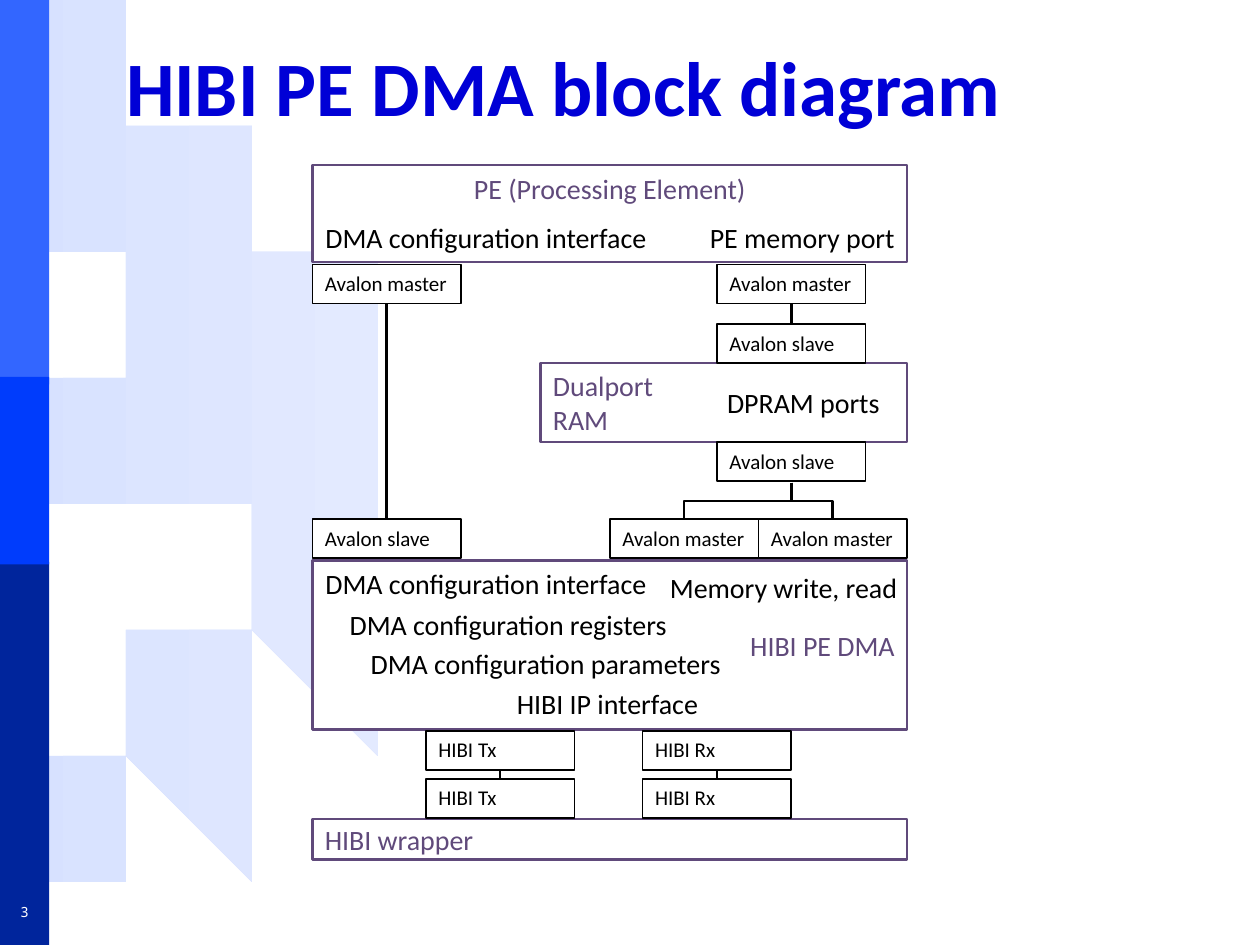
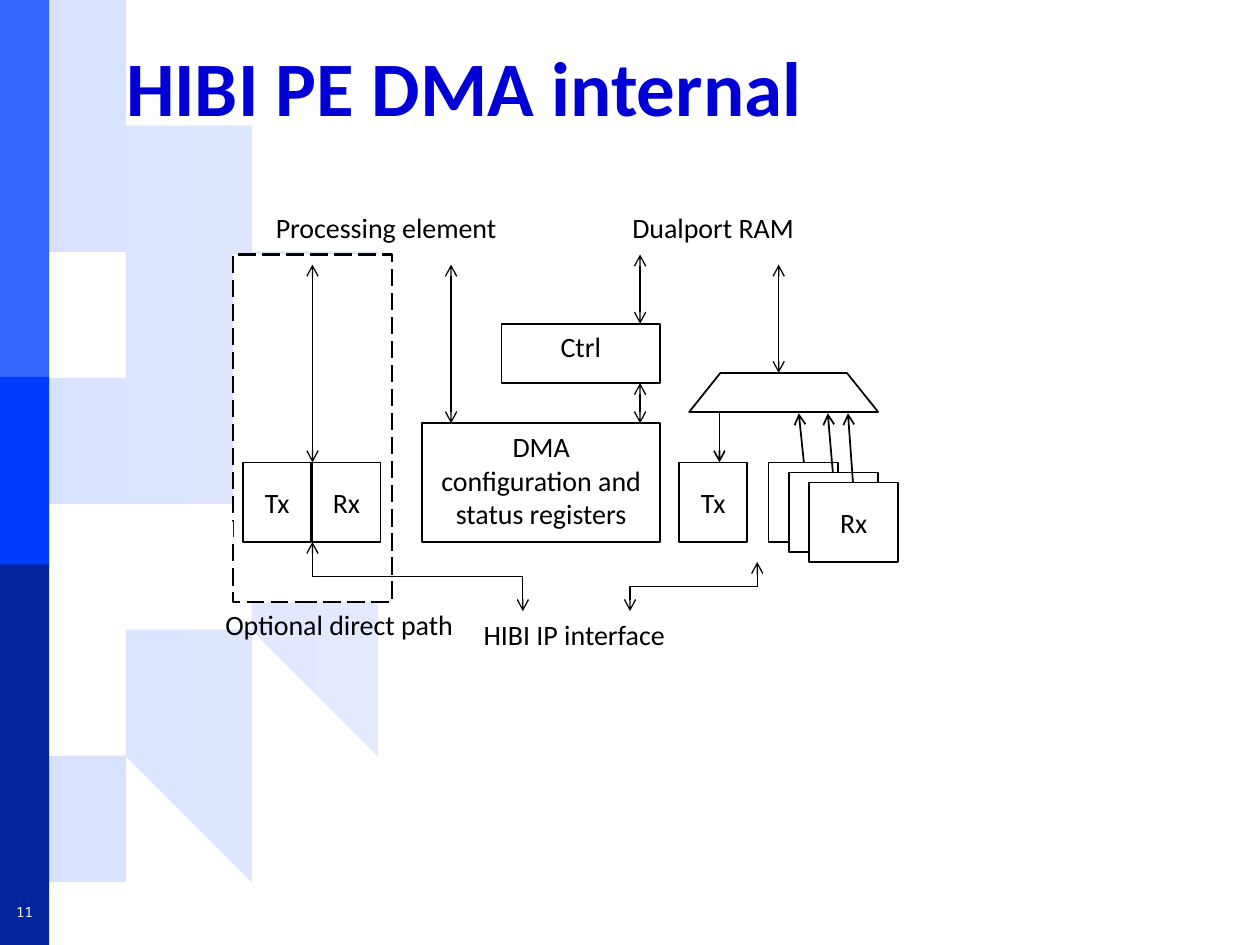
"""Build two slides on the HIBI PE DMA: its block diagram and its internals."""
from dataclasses import dataclass
from typing import Optional

from lxml.etree import SubElement
from pptx import Presentation
from pptx.dml.color import RGBColor
from pptx.enum.dml import MSO_LINE
from pptx.enum.shapes import MSO_CONNECTOR as CONN, MSO_SHAPE as SHAPE
from pptx.enum.text import MSO_ANCHOR as ANCHOR, MSO_AUTO_SIZE as FIT, PP_ALIGN as ALIGN
from pptx.oxml.ns import qn
from pptx.util import Inches, Pt

WHITE = RGBColor(0xFF, 0xFF, 0xFF)
BLACK = RGBColor(0x00, 0x00, 0x00)
PURPLE = RGBColor(0x60, 0x4A, 0x7B)
TITLE_BLUE = RGBColor(0x00, 0x00, 0xD6)
GEAR_COLORS = (RGBColor(0xD7, 0xE1, 0xFF), RGBColor(0xE3, 0xEA, 0xFF))
BANDS = (
    (0, 3.05, RGBColor(0x33, 0x66, 0xFF)),
    (4.46, 3.04, RGBColor(0x00, 0x25, 0x9C)),
    (2.99, 1.49, RGBColor(0x00, 0x3C, 0xFC)),
)
BAND_WIDTH = 0.39
BODY_FONT, NUMBER_FONT = "Calibri", "Noto Sans Mono"
PORT_WIDTH, PORT_HEIGHT = 1.18, 0.31

GEAR_MIRROR = 7.48
GEAR_HALF = (
    (0, 4.48), (1.59, 4.49), (1.54, 4.61), (1.48, 4.72), (1.43, 4.84),
    (1.35, 4.95), (1.28, 5.04), (1.2, 5.12), (1.1, 5.22), (1.03, 5.3),
    (0.93, 5.38), (0.82, 5.45), (0.72, 5.51), (0.6, 5.56), (0.5, 5.61),
    (0.38, 5.65), (0.26, 5.68), (0.13, 5.71), (0.13, 7.48), (0.27, 7.46),
    (0.38, 7.45), (0.51, 7.42), (0.65, 7.39), (0.65, 6.59), (0.8, 6.54),
    (0.93, 6.49), (1.05, 6.43), (1.18, 6.35), (1.72, 6.91), (1.84, 6.84),
    (1.92, 6.77), (2.02, 6.7), (2.14, 6.62), (1.77, 5.91), (1.9, 5.78),
    (1.99, 5.68), (2.07, 5.55), (2.18, 5.42), (2.89, 5.66), (2.96, 5.55),
    (3.02, 5.43), (3.07, 5.34), (3.12, 5.2), (2.52, 4.73), (2.54, 4.57),
    (2.59, 4.42), (2.62, 4.27), (2.64, 4.13), (3.39, 4), (3.41, 3.87),
)


@dataclass(frozen=True)
class Box:
    left: float
    top: float
    width: float
    height: float
    text: str = ""
    align: ALIGN = ALIGN.CENTER
    anchor: ANCHOR = ANCHOR.MIDDLE
    size: float = 16
    color: RGBColor = BLACK
    line: Optional[RGBColor] = BLACK
    line_width: float = 1
    dash: Optional[MSO_LINE] = None
    kind: SHAPE = SHAPE.RECTANGLE
    adjust: Optional[float] = None
    fill: RGBColor = WHITE


@dataclass(frozen=True)
class Label:
    left: float
    top: float
    width: float
    text: str
    align: ALIGN = ALIGN.LEFT


@dataclass(frozen=True)
class Link:
    x1: float
    y1: float
    x2: float
    y2: float
    width: float = 1.5
    head: bool = False
    tail: bool = False
    bent: bool = False


def block(left: float, top: float, width: float, height: float, text: str,
          align: ALIGN = ALIGN.LEFT, anchor: ANCHOR = ANCHOR.MIDDLE) -> Box:
    return Box(left, top, width, height, text, align, anchor,
               color=PURPLE, line=PURPLE, line_width=1.5)


def port(text: str, left: float, top: float) -> Box:
    return Box(left, top, PORT_WIDTH, PORT_HEIGHT, text, ALIGN.LEFT, ANCHOR.TOP, size=12)


def two_way(x1: float, y1: float, x2: float, y2: float, bent: bool = False) -> Link:
    return Link(x1, y1, x2, y2, 0.75, True, True, bent)


MAIN_LEFT, MAIN_WIDTH = 2.48, 4.72
RAM_LEFT, RAM_X = 5.69, 6.28
TX_LEFT, RX_LEFT = 3.38, 5.1
HALF_PORT = PORT_WIDTH / 2
DIAGRAM_BOXES = (
    block(MAIN_LEFT, 1.31, MAIN_WIDTH, 0.77, "PE (Processing Element)", ALIGN.CENTER, ANCHOR.TOP),
    block(MAIN_LEFT, 4.45, MAIN_WIDTH, 1.34, "HIBI PE DMA", ALIGN.RIGHT),
    block(4.29, 2.88, 2.91, 0.63, "Dualport\nRAM"),
    block(MAIN_LEFT, 6.5, MAIN_WIDTH, 0.32, "HIBI wrapper"),
    port("Avalon master", RAM_LEFT, 2.1),
    port("Avalon master", MAIN_LEFT, 2.1),
    port("Avalon slave", MAIN_LEFT, 4.12),
    port("Avalon slave", RAM_LEFT, 2.57),
    port("Avalon slave", RAM_LEFT, 3.51),
    port("Avalon master", 6.02, 4.12),
    port("Avalon master", 6.02 - PORT_WIDTH, 4.12),
    *(port(text, left, top) for top in (5.8, 6.18)
      for text, left in (("HIBI Tx", TX_LEFT), ("HIBI Rx", RX_LEFT))),
)
DIAGRAM_LINKS = (
    Link(RAM_X, 2.41, RAM_X, 2.57),
    Link(MAIN_LEFT + HALF_PORT, 2.41, MAIN_LEFT + HALF_PORT, 4.12),
    *(Link(left + HALF_PORT, 6.11, left + HALF_PORT, 6.18) for left in (TX_LEFT, RX_LEFT)),
    *(Link(RAM_X, 3.83, x, 4.12, bent=True) for x in (6.61, 5.43)),
)
DIAGRAM_LABELS = tuple(Label(*row, ALIGN.RIGHT) for row in (
    (5.51, 1.7, 1.69, "PE memory port"),
    (5.19, 4.48, 2.03, "Memory write, read"),
    (5.65, 3.01, 1.43, "DPRAM ports"),
    (2.45, 1.7, 2.78, "DMA configuration interface"),
    (2.45, 4.45, 2.78, "DMA configuration interface"),
    (2.64, 4.77, 2.75, "DMA configuration registers"),
    (2.8, 5.08, 3.02, "DMA configuration parameters"),
    (3.98, 5.4, 1.66, "HIBI IP interface"),
))

FIFO_TOP, FIFO_HEIGHT, STACK_STEP = 3.67, 0.63, 0.08
INTERNAL_BOXES = (
    Box(1.85, 2.02, 1.26, 2.76, line_width=1.25, dash=MSO_LINE.LONG_DASH),
    Box(0.67, 4.14, 1.18, 0.16, line=None),
    Box(3.35, 3.36, 1.89, 0.94, "DMA configuration and status registers", anchor=ANCHOR.TOP),
    Box(3.98, 2.57, 1.26, 0.47, "Ctrl", anchor=ANCHOR.TOP),
    Box(5.47, 2.96, 1.5, 0.31, kind=SHAPE.TRAPEZOID, adjust=0.8),
    *(Box(left, FIFO_TOP, 0.54, FIFO_HEIGHT, text)
      for left, text in ((1.93, "Tx"), (2.48, "Rx"), (5.39, "Tx"))),
    *(Box(left, FIFO_TOP + i * STACK_STEP, width, FIFO_HEIGHT, text)
      for i, (left, width, text) in enumerate(((6.1, 0.55, ""), (6.26, 0.71, ""), (6.42, 0.71, "Rx")))),
)
INTERNAL_LINKS = (
    *(Link(x, 3.28, x + 0.04, FIFO_TOP + i * STACK_STEP, 1, head=True)
      for i, x in enumerate((6.34, 6.57, 6.73))),
    Link(5.71, 3.28, 5.71, FIFO_TOP, 1, tail=True),
    two_way(5.08, 2.57, 5.08, 2.02),
    two_way(5.08, 3.36, 5.08, 3.04),
    two_way(6.18, 2.96, 6.18, 2.1),
    two_way(2.48, FIFO_TOP, 2.48, 2.1),
    two_way(3.58, 3.36, 3.58, 2.1),
    two_way(2.48, 4.3, 4.15, 4.85, bent=True),
    two_way(6.01, 4.46, 5, 4.85, bent=True),
)
INTERNAL_LABELS = (
    Label(2.09, 1.62, 1.98, "Processing element"),
    Label(4.92, 1.62, 1.5, "Dualport RAM"),
    Label(3.74, 4.85, 1.66, "HIBI IP interface"),
    Label(1.69, 4.77, 2.03, "Optional direct path"),
)


def write(tf, text: str, *, size: float = 16, color: RGBColor = BLACK, font: str = BODY_FONT,
          bold: bool = False, align: ALIGN = ALIGN.LEFT, anchor: ANCHOR = ANCHOR.TOP,
          wrap: bool = True, fit: FIT = FIT.NONE) -> None:
    tf.word_wrap, tf.auto_size, tf.vertical_anchor = wrap, fit, anchor
    for i, line in enumerate(text.split("\n")):
        p = tf.add_paragraph() if i else tf.paragraphs[0]
        p.alignment = align
        r = p.add_run()
        r.text = line
        r.font.size, r.font.name, r.font.bold = Pt(size), font, bold
        r.font.color.rgb = color


def draw_box(s, box: Box):
    sp = s.shapes.add_shape(box.kind, *map(Inches, (box.left, box.top, box.width, box.height)))
    sp.shadow.inherit = False
    sp.fill.solid()
    sp.fill.fore_color.rgb = box.fill
    if box.adjust is not None:
        sp.adjustments[0] = box.adjust
    if box.line is None:
        sp.line.fill.background()
    else:
        sp.line.color.rgb, sp.line.width = box.line, Pt(box.line_width)
    if box.dash is not None:
        sp.line.dash_style = box.dash
    if box.text:
        write(sp.text_frame, box.text, size=box.size, color=box.color,
              align=box.align, anchor=box.anchor)
    return sp


def draw_label(s, label: Label) -> None:
    sp = s.shapes.add_textbox(*map(Inches, (label.left, label.top, label.width, 0.37)))
    write(sp.text_frame, label.text, align=label.align, wrap=False, fit=FIT.SHAPE_TO_FIT_TEXT)


def draw_link(s, link: Link) -> None:
    ends = (link.x1, link.y1, link.x2, link.y2)
    if link.bent:
        cx, cy = (link.x1 + link.x2) / 2, (link.y1 + link.y2) / 2
        dx, dy = (link.x2 - link.x1) / 2, (link.y2 - link.y1) / 2
        ends = (cx - dy, cy + dx, cx + dy, cy - dx)
    c = s.shapes.add_connector(CONN.ELBOW if link.bent else CONN.STRAIGHT, *map(Inches, ends))
    c.line.color.rgb, c.line.width = BLACK, Pt(link.width)
    props = c.element.spPr
    if link.bent:
        props.find(qn("a:xfrm")).set("rot", str(90 * 60000))
    for tag, shown in (("a:headEnd", link.head), ("a:tailEnd", link.tail)):
        if shown:
            SubElement(props.find(qn("a:ln")), qn(tag), type="arrow")
    SubElement(props, qn("a:effectLst"))


def draw_gear(s):
    upper = [(x, GEAR_MIRROR - y) for x, y in reversed(GEAR_HALF)]
    first, *rest = (*GEAR_HALF, *upper)
    builder = s.shapes.build_freeform(*first, scale=Inches(1))
    builder.add_line_segments(rest, close=True)
    sp = builder.convert_to_shape()
    sp.shadow.inherit = False
    sp.line.fill.background()
    sp.fill.gradient()
    sp.fill.gradient_angle = 0
    for stop, color, position in zip(sp.fill.gradient_stops, GEAR_COLORS, (0, 1)):
        stop.color.rgb, stop.position = color, position
    return sp


def decorate_master(prs, s) -> None:
    shapes = [draw_gear(s)]
    shapes += [draw_box(s, Box(0, top, BAND_WIDTH, height, line=None, fill=color))
               for top, height, color in BANDS]
    for i, sp in enumerate(shapes):
        sp.element.xpath(".//p:cNvPr")[0].set("id", str(100 + i))
        prs.slide_master.shapes.element.insert(2 + i, sp.element)


def add_slide(prs, title: str, number: str, boxes: tuple, links: tuple, labels: tuple):
    s = prs.slides.add_slide(prs.slide_layouts[5])
    sp = s.shapes.title
    sp.left, sp.top, sp.width, sp.height = map(Inches, (0.9, 0.21, 8.66, 0.94))
    write(sp.text_frame, title, size=44, color=TITLE_BLUE, bold=True, anchor=ANCHOR.MIDDLE)
    sp = s.shapes.add_textbox(*map(Inches, (0, 7.11, BAND_WIDTH, 0.26)))
    write(sp.text_frame, number, size=8, color=WHITE, font=NUMBER_FONT,
          align=ALIGN.CENTER, anchor=ANCHOR.MIDDLE, wrap=False)
    for draw, items in ((draw_box, boxes), (draw_link, links), (draw_label, labels)):
        for item in items:
            draw(s, item)
    return s


def main() -> None:
    prs = Presentation()
    prs.slide_width, prs.slide_height = Inches(10), Inches(7.5)
    s = add_slide(prs, "HIBI PE DMA block diagram", "3",
                  DIAGRAM_BOXES, DIAGRAM_LINKS, DIAGRAM_LABELS)
    decorate_master(prs, s)
    add_slide(prs, "HIBI PE DMA internal", "11",
              INTERNAL_BOXES, INTERNAL_LINKS, INTERNAL_LABELS)
    prs.save("out.pptx")


if __name__ == "__main__":
    main()
